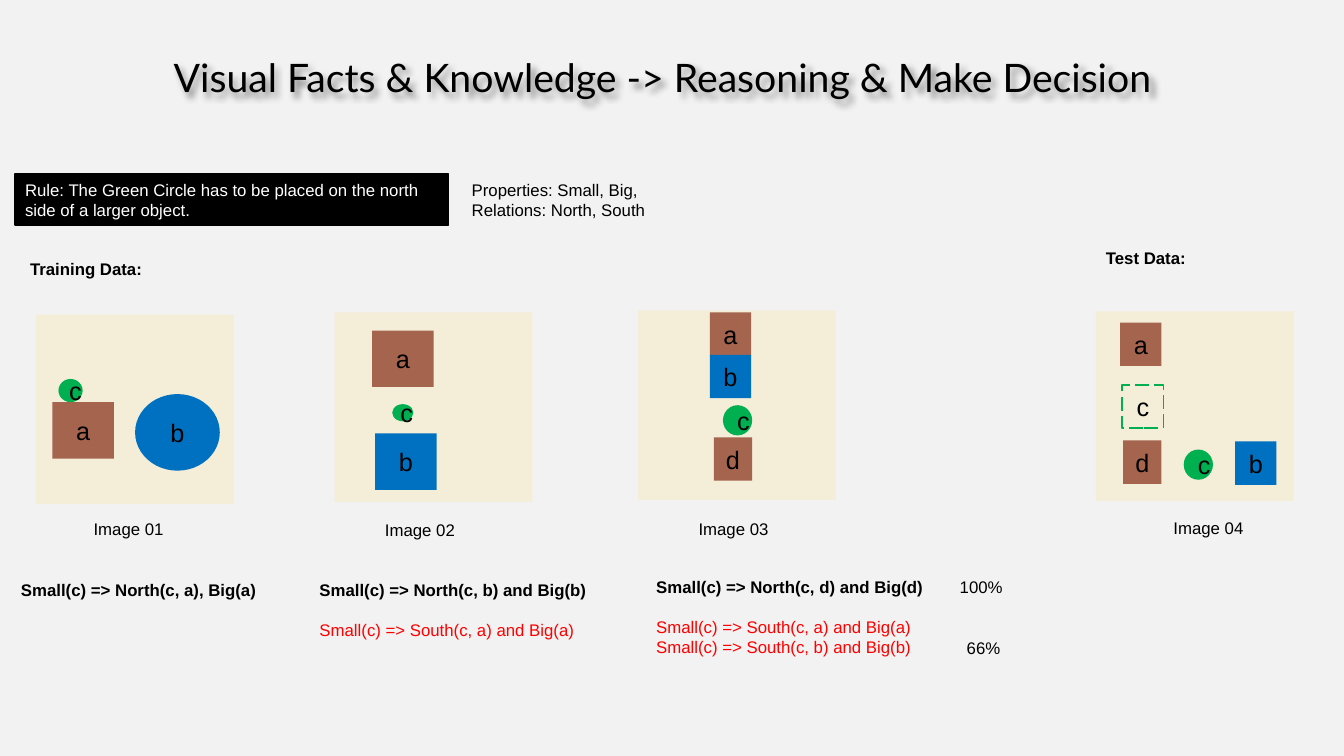
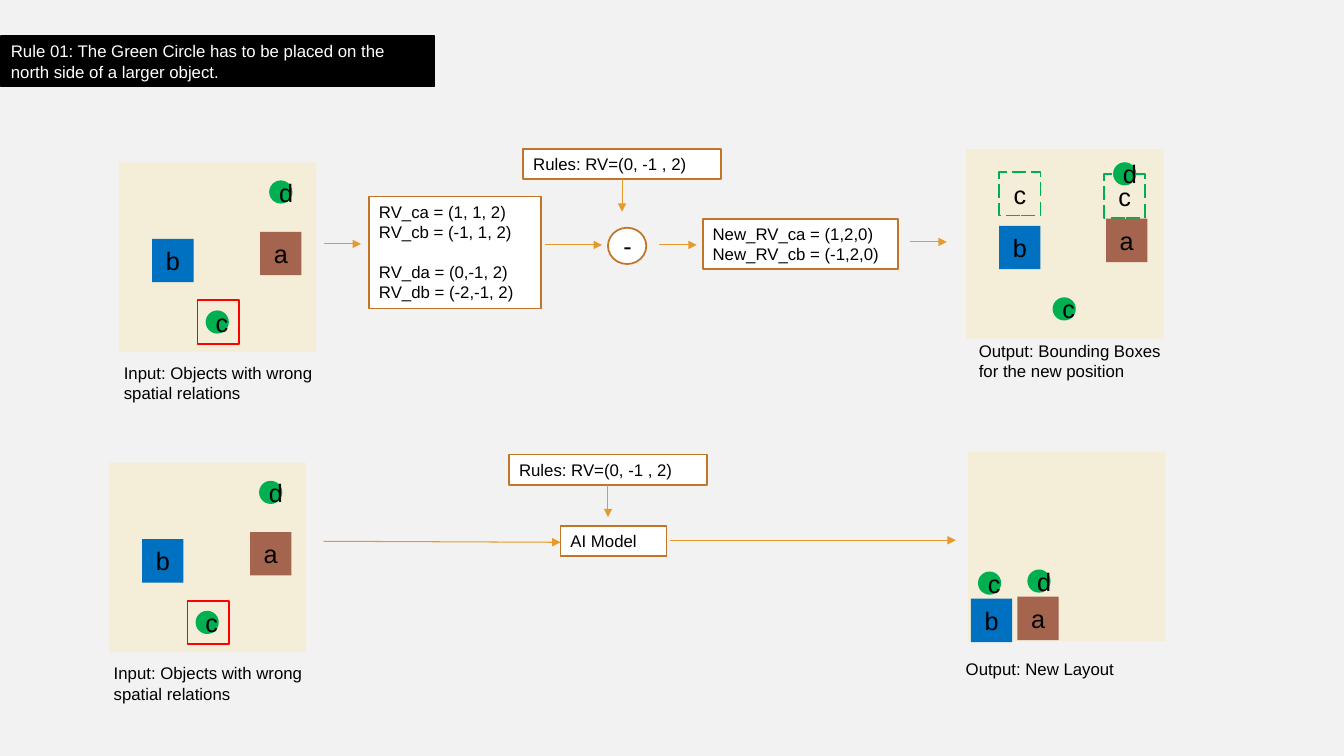
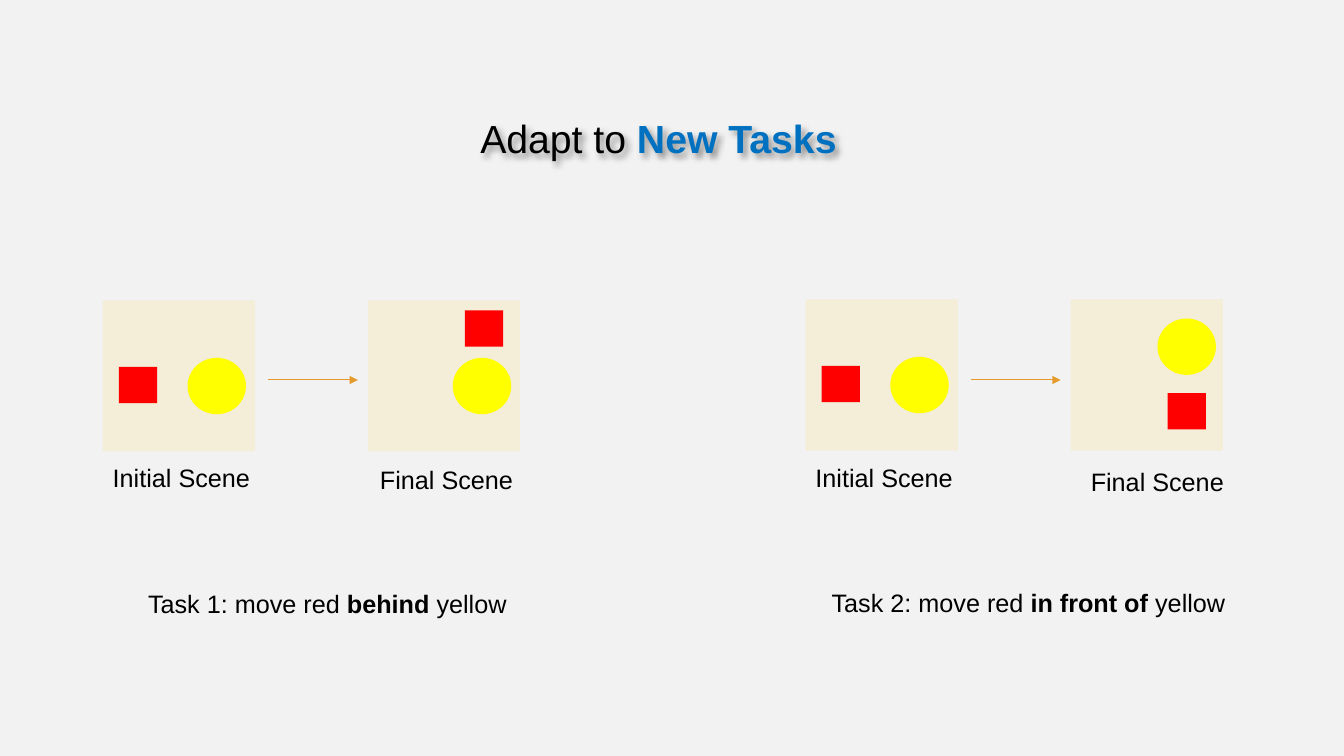
from pptx import Presentation
from pptx.dml.color import RGBColor
from pptx.enum.dml import MSO_LINE
from pptx.enum.shapes import MSO_CONNECTOR, MSO_SHAPE
from pptx.enum.text import MSO_ANCHOR, PP_ALIGN
from pptx.oxml import parse_xml
from pptx.oxml.ns import nsdecls, qn
from pptx.util import Inches, Pt

COLORS = {
    "back": "F2F2F2", "black": "000000", "white": "FFFFFF", "panel": "F4EDD8",
    "brown": "A5644E", "blue": "0070C0", "green": "00B050", "red": "FF0000",
    "yellow": "FFFF00", "border": "C17529", "arrow": "E59B2C",
}
RGB = {name: RGBColor.from_string(value) for name, value in COLORS.items()}
FONT = "Arial"
RECT, OVAL = MSO_SHAPE.RECTANGLE, MSO_SHAPE.OVAL
PANEL = (1.96, 1.88)
BLOCK = (0.41, 0.43)
DOT = (0.23, 0.23)


def add_box(s, at, paras=(), kind=None, fill=None, line=None, size=12,
            dash=False, centred=False, gap_at=None):
    """Add a shape, or a text box if kind is None.

    paras is a string or a list of paragraphs, each a list of
    (text, colour, bold) runs; gap_at is the paragraph with space above it.
    """
    box = [Inches(v) for v in at]
    if kind is None:
        sp = s.shapes.add_textbox(*box)
    else:
        sp = s.shapes.add_shape(kind, *box)
        sp.shadow.inherit = False
        if fill:
            sp.fill.solid()
            sp.fill.fore_color.rgb = RGB[fill]
        else:
            sp.fill.background()
        if line:
            sp.line.color.rgb = RGB[line]
            sp.line.width = Pt(1.25)
            if dash:
                sp.line.dash_style = MSO_LINE.LONG_DASH
        else:
            sp.line.fill.background()
    tf = sp.text_frame
    tf.word_wrap = True
    tf.vertical_anchor = MSO_ANCHOR.MIDDLE if centred else MSO_ANCHOR.TOP
    if isinstance(paras, str):
        paras = [[(paras, "black", False)]]
    for i, runs in enumerate(paras):
        p = tf.add_paragraph() if i else tf.paragraphs[0]
        p.alignment = PP_ALIGN.CENTER if centred else PP_ALIGN.LEFT
        if i == gap_at:
            p.space_before = Pt(14)
        for text, color, bold in runs:
            r = p.add_run()
            r.text = text
            r.font.name, r.font.size, r.font.bold = FONT, Pt(size), bold
            r.font.color.rgb = RGB[color]


def add_arrow(s, x1, y1, x2, y2):
    cx = s.shapes.add_connector(
        MSO_CONNECTOR.STRAIGHT, Inches(x1), Inches(y1), Inches(x2), Inches(y2))
    cx.line.color.rgb = RGB["arrow"]
    cx.line.width = Pt(0.75)
    pr = cx._element.spPr
    pr.find(qn("a:ln")).append(
        parse_xml(f'<a:tailEnd {nsdecls("a")} type="triangle"/>'))
    pr.append(parse_xml(f'<a:effectLst {nsdecls("a")}/>'))


prs = Presentation()
prs.slide_width, prs.slide_height = Inches(13.33), Inches(7.5)
master_fill = prs.slide_master.background.fill
master_fill.solid()
master_fill.fore_color.rgb = RGB["back"]
title_only, blank = prs.slide_layouts[5], prs.slide_layouts[6]

facts = prs.slides.add_slide(title_only)
pipeline = prs.slides.add_slide(blank)
tasks = prs.slides.add_slide(title_only)

# Titles
titles = [
    (facts, (0.2, 0.49, 12.74, 0.61), "Lato",
     [("Visual Facts & Knowledge -> Reasoning & Make Decision", "black", False)]),
    (tasks, (0.16, 0.71, 12.74, 1.38), FONT,
     [("Adapt to ", "black", False), ("New Tasks", "blue", True)]),
]
for s, at, font, runs in titles:
    sp = s.shapes.title
    sp.left, sp.top, sp.width, sp.height = [Inches(v) for v in at]
    sp.shadow.inherit = False
    sp._element.spPr.find(qn("a:effectLst")).append(parse_xml(
        f'<a:outerShdw {nsdecls("a")} blurRad="50800" dist="38100" dir="2700000"'
        ' algn="tl" rotWithShape="0"><a:srgbClr val="000000">'
        '<a:alpha val="40000"/></a:srgbClr></a:outerShdw>'))
    tf = sp.text_frame
    tf.vertical_anchor = MSO_ANCHOR.MIDDLE
    p = tf.paragraphs[0]
    p.alignment, p.line_spacing, p.space_after = PP_ALIGN.CENTER, 0.9, Pt(6)
    for text, color, bold in runs:
        r = p.add_run()
        r.text = text
        r.font.name, r.font.size, r.font.bold = font, Pt(28), bold
        r.font.color.rgb = RGB[color]

# Rule banners
rule = "The Green Circle has to be placed on the north side of a larger object."
for s, x, y, label in [(facts, 0.15, 1.73, "Rule: "), (pipeline, 0.01, 0.36, "Rule 01: ")]:
    add_box(s, (x, y, 4.3, 0.5), [[(label + rule, "white", False)]],
            RECT, "black", "black")

# Slide 1: training and test images
s = facts
add_box(s, (4.58, 1.73, 2.31, 0.5), [
    [("Properties: Small, Big,", "black", False)],
    [("Relations: North, South", "black", False)]])
add_box(s, (0.2, 2.52, 1.32, 0.3), [[("Training Data:", "black", True)]])
add_box(s, (10.87, 2.41, 1.05, 0.3), [[("Test Data:", "black", True)]])

images = [
    ((0.36, 3.12), "Image 01", (0.83, 5.1), [
        ("a", RECT, "brown", 0.52, 3.99, 0.61, 0.56),
        ("b", OVAL, "blue", 1.34, 3.91, 0.84, 0.76),
        ("c", OVAL, "green", 0.58, 3.76, 0.24, 0.23)]),
    ((3.32, 3.1), "Image 02", (3.72, 5.11), [
        ("a", RECT, "brown", 3.69, 3.28, 0.61, 0.56),
        ("b", RECT, "blue", 3.72, 4.3, 0.61, 0.56),
        ("c", OVAL, "green", 3.89, 4.01, 0.21, 0.17)]),
    ((6.33, 3.08), "Image 03", (6.83, 5.1), [
        ("a", RECT, "brown", 7.04, 3.1, *BLOCK),
        ("b", RECT, "blue", 7.04, 3.52, *BLOCK),
        ("c", OVAL, "green", 7.17, 4.02, 0.29, 0.3),
        ("d", RECT, "brown", 7.08, 4.34, 0.38, 0.43)]),
    ((10.87, 3.09), "Image 04", (11.54, 5.09), [
        ("a", RECT, "brown", 11.11, 3.2, *BLOCK),
        ("b", RECT, "blue", 12.25, 4.38, *BLOCK),
        ("c", OVAL, "green", 11.74, 4.46, 0.29, 0.3),
        ("d", RECT, "brown", 11.14, 4.37, 0.38, 0.43)]),
]
for corner, caption, caption_at, objects in images:
    add_box(s, (*corner, *PANEL), kind=RECT, fill="panel")
    for letter, kind, color, *at in objects:
        add_box(s, at, letter, kind, color, size=18, centred=True)
    add_box(s, (*caption_at, 0.96, 0.3), caption)
add_box(s, (11.13, 3.82, *BLOCK), "c", RECT, line="green", size=18,
        dash=True, centred=True)

# Slide 1: learned clauses, the first one bold and the rejected ones red
clauses = [
    ((0.11, 5.7, 2.69, 0.3), "North(c, a), Big(a)", []),
    ((3.07, 5.7, 3.08, 0.71), "North(c, b) and Big(b)", ["South(c, a) and Big(a)"]),
    ((6.41, 5.67, 3.08, 0.91), "North(c, d) and Big(d)",
     ["South(c, a) and Big(a)", "South(c, b) and Big(b)"]),
]
for at, kept, rejected in clauses:
    paras = [[("Small(c) => " + kept, "black", True)]]
    paras += [[("Small(c) => " + text, "red", False)] for text in rejected]
    add_box(s, at, paras, gap_at=1)
add_box(s, (9.42, 5.67, 0.68, 0.3), "100%")
add_box(s, (9.49, 6.28, 0.54, 0.3), "66%")

# Slide 2: scenes, with objects placed from the corner of each panel
s = pipeline
input_places = {"a": (1.4, 0.69), "b": (0.33, 0.76), "c": (0.86, 1.47), "d": (1.49, 0.18)}
scenes = [
    (1.18, 1.61, input_places, []),
    (1.08, 4.59, input_places, []),
    (9.58, 1.48,
     {"a": (1.39, 0.69), "b": (0.33, 0.76), "c": (0.86, 1.47), "d": (1.46, 0.13)},
     [(0.33, 0.23), (1.37, 0.25)]),
    (9.6, 4.48,
     {"a": (0.49, 1.44), "b": (0.03, 1.46), "c": (0.1, 1.19), "d": (0.59, 1.17)}, []),
]
looks = {"a": (RECT, "brown", BLOCK), "b": (RECT, "blue", BLOCK),
         "c": (OVAL, "green", DOT), "d": (OVAL, "green", DOT)}
for x, y, places, targets in scenes:
    add_box(s, (x, y, *PANEL), kind=RECT, fill="panel")
    for dx, dy in targets:
        add_box(s, (x + dx, y + dy, *BLOCK), "c", RECT, line="green", size=18,
                dash=True, centred=True)
    for letter, (dx, dy) in places.items():
        kind, color, dims = looks[letter]
        add_box(s, (x + dx, y + dy, *dims), letter, kind, color, size=18, centred=True)
    if places is input_places:
        add_box(s, (x + 0.78, y + 1.37, *BLOCK), kind=RECT, line="red")
        add_box(s, (x - 0.05, y + 1.94, 2.23, 0.5),
                "Input: Objects with wrong spatial relations")
add_box(s, (9.61, 3.33, 2.23, 0.5), "Output: Bounding Boxes for the new position")
add_box(s, (9.48, 6.49, 2.23, 0.3), "Output: New Layout")

# Slide 2: steps between input and output
steps = [
    ((3.66, 1.95, 1.71, 1.11), ["RV_ca = (1, 1, 2)", "RV_cb = (-1, 1, 2)",
                                "RV_da = (0,-1, 2)", "RV_db = (-2,-1, 2)"]),
    ((6.97, 2.17, 1.94, 0.5), ["New_RV_ca = (1,2,0)", "New_RV_cb = (-1,2,0)"]),
    ((5.56, 5.22, 1.05, 0.3), ["AI Model"]),
    ((5.19, 1.48, 1.96, 0.3), ["Rules: RV=(0, -1 , 2)"]),
    ((5.05, 4.51, 1.96, 0.3), ["Rules: RV=(0, -1 , 2)"]),
]
for at, lines in steps:
    add_box(s, at, [[(text, "black", False)] for text in lines],
            RECT, "white", "border", gap_at=2)
add_box(s, (6.03, 2.26, 0.38, 0.36), "-", OVAL, "white", "border", size=18, centred=True)

for ends in [(3.21, 2.42, 3.58, 2.42), (5.41, 2.43, 5.97, 2.43),
             (6.54, 2.43, 6.91, 2.43), (9.03, 2.4, 9.39, 2.4),
             (6.17, 1.78, 6.17, 2.1), (6.03, 4.81, 6.03, 5.13),
             (3.21, 5.37, 5.56, 5.38), (6.65, 5.36, 9.48, 5.36)]:
    add_arrow(s, *ends)

# Slide 3: initial and final scene of each task
s = tasks
start = ((0.16, 0.66), (0.84, 0.57))
task_rows = [
    (1.02, 2.98, ((0.96, 0.1), (0.84, 0.57)), (3.67, 4.56), (1.37, 5.79, 4.07, 0.4),
     ("Task 1: move red ", "behind", " yellow")),
    (7.99, 2.97, ((0.96, 0.93), (0.86, 0.19)), (10.72, 4.58), (8.15, 5.78, 4.55, 0.4),
     ("Task 2: move red ", "in front of ", "yellow")),
]
for x, y, end, final_at, task_at, (before, key, after) in task_rows:
    for left, (red, yellow) in [(x, start), (x + 2.63, end)]:
        add_box(s, (left, y, 1.51, 1.5), kind=RECT, fill="panel")
        add_box(s, (left + red[0], y + red[1], 0.38, 0.36), kind=RECT, fill="red")
        add_box(s, (left + yellow[0], y + yellow[1], 0.58, 0.56), kind=OVAL, fill="yellow")
    add_arrow(s, x + 1.64, 3.77, x + 2.53, 3.77)
    add_box(s, (x, 4.54, 2.14, 0.4), "Initial Scene", size=18)
    add_box(s, (*final_at, 1.72, 0.4), "Final Scene", size=18)
    add_box(s, task_at, [[(before, "black", False), (key, "black", True),
                          (after, "black", False)]], size=18)

prs.save("out.pptx")
